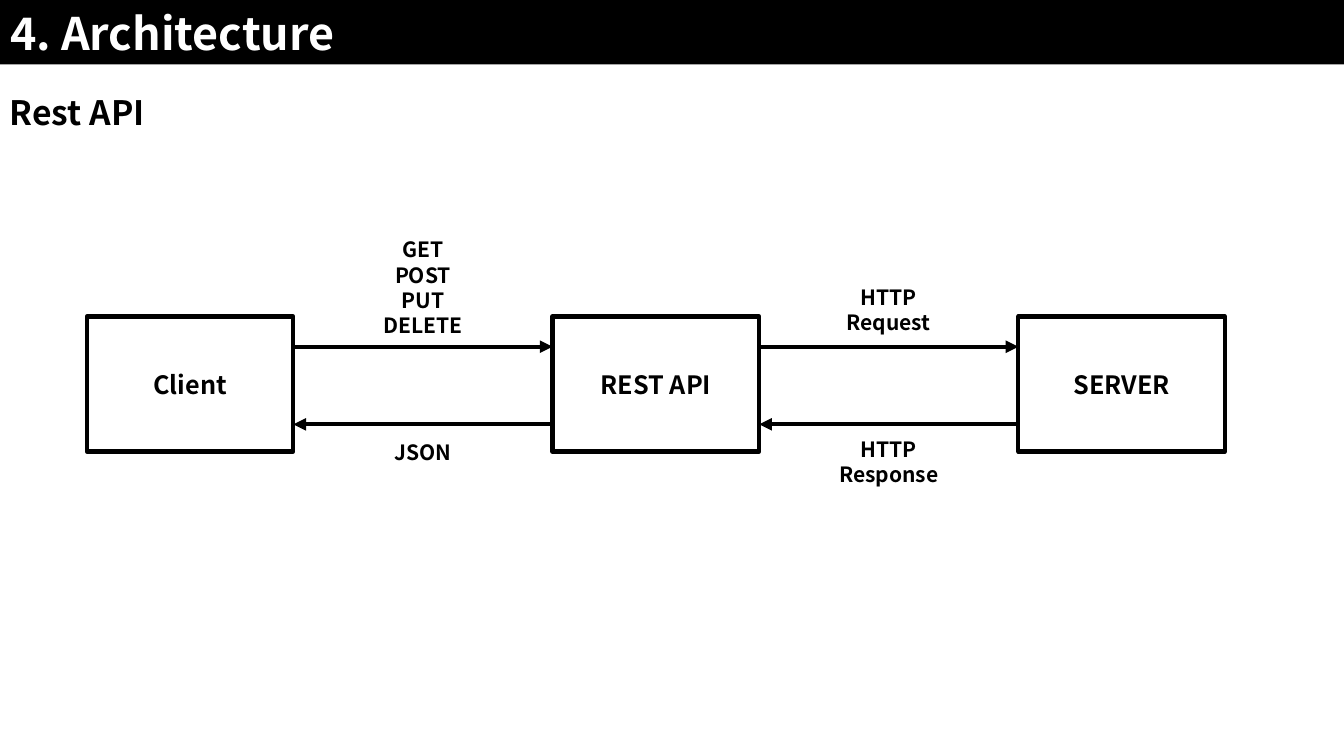
from dataclasses import dataclass

from lxml.etree import SubElement
from pptx import Presentation
from pptx.dml.color import RGBColor
from pptx.enum.shapes import MSO_CONNECTOR, MSO_SHAPE
from pptx.enum.text import MSO_ANCHOR, MSO_AUTO_SIZE, PP_ALIGN
from pptx.oxml.ns import qn
from pptx.slide import Slide
from pptx.text.text import TextFrame
from pptx.util import Inches, Pt

BLACK = RGBColor(0x00, 0x00, 0x00)
WHITE = RGBColor(0xFF, 0xFF, 0xFF)
FONT = "Noto Sans CJK KR"
LINE_WIDTH = Pt(3)

NODE_LEFT, NODE_TOP = 0.86, 3.14
NODE_WIDTH, NODE_HEIGHT = 2.05, 1.34
NODE_STEP = 4.62
REQUEST_Y, RESPONSE_Y = 3.44, 4.21
REQUEST_LABEL_BOTTOM, RESPONSE_LABEL_TOP = 3.34, 4.31


@dataclass(frozen=True)
class Exchange:
    """Messages passed between one node and the next."""
    request: str
    request_height: float
    response: str
    response_height: float
    label_width: float


NODES = ["Client", "REST API", "SERVER"]
EXCHANGES = [
    Exchange("GET POST PUT DELETE", 0.98, "JSON", 0.36, 1.11),
    Exchange("HTTP Request", 0.54, "HTTP Response", 0.54, 1.36),
]


def write(frame: TextFrame, text: str, size: int, color: RGBColor = BLACK,
          align: PP_ALIGN = PP_ALIGN.CENTER) -> None:
    frame.word_wrap = True
    frame.auto_size = MSO_AUTO_SIZE.NONE
    frame.vertical_anchor = MSO_ANCHOR.MIDDLE
    paragraph = frame.paragraphs[0]
    paragraph.alignment = align
    run = paragraph.add_run()
    run.text = text
    run.font.name = FONT
    run.font.size = Pt(size)
    run.font.bold = True
    run.font.color.rgb = color


def add_title(slide: Slide, text: str) -> None:
    title = slide.shapes.title
    title.left, title.top = Inches(0), Inches(0)
    title.width, title.height = Inches(13.33), Inches(0.64)
    title.fill.solid()
    title.fill.fore_color.rgb = BLACK
    write(title.text_frame, text, 32, WHITE, PP_ALIGN.LEFT)


def add_label(slide: Slide, text: str, left: float, top: float, width: float,
              height: float, size: int = 15,
              align: PP_ALIGN = PP_ALIGN.CENTER) -> None:
    label = slide.shapes.add_textbox(
        Inches(left), Inches(top), Inches(width), Inches(height))
    write(label.text_frame, text, size, align=align)


def add_node(slide: Slide, name: str, left: float) -> None:
    node = slide.shapes.add_shape(
        MSO_SHAPE.RECTANGLE, Inches(left), Inches(NODE_TOP),
        Inches(NODE_WIDTH), Inches(NODE_HEIGHT))
    node.shadow.inherit = False
    node.fill.solid()
    node.fill.fore_color.rgb = WHITE
    node.line.color.rgb = BLACK
    node.line.width = LINE_WIDTH
    write(node.text_frame, name, 18)


def add_arrow(slide: Slide, start: float, end: float, y: float) -> None:
    arrow = slide.shapes.add_connector(
        MSO_CONNECTOR.STRAIGHT, Inches(start), Inches(y), Inches(end), Inches(y))
    arrow.line.color.rgb = BLACK
    arrow.line.width = LINE_WIDTH
    SubElement(arrow.line._get_or_add_ln(), qn("a:tailEnd"), type="triangle")
    SubElement(arrow._element.spPr, qn("a:effectLst"))


def add_exchange(slide: Slide, exchange: Exchange, start: float, end: float) -> None:
    add_arrow(slide, start, end, REQUEST_Y)
    add_arrow(slide, end, start, RESPONSE_Y)
    label_left = (start + end - exchange.label_width) / 2
    add_label(slide, exchange.request, label_left,
              REQUEST_LABEL_BOTTOM - exchange.request_height,
              exchange.label_width, exchange.request_height)
    add_label(slide, exchange.response, label_left, RESPONSE_LABEL_TOP,
              exchange.label_width, exchange.response_height)


def main() -> None:
    presentation = Presentation()
    presentation.slide_width = Inches(13.33)
    presentation.slide_height = Inches(7.5)
    slide = presentation.slides.add_slide(presentation.slide_layouts[5])

    add_title(slide, "4. Architecture")
    add_label(slide, "Rest API", 0, 0.86, 4.68, 0.5, 24, PP_ALIGN.LEFT)

    node_lefts = [NODE_LEFT + NODE_STEP * i for i in range(len(NODES))]
    for name, left in zip(NODES, node_lefts):
        add_node(slide, name, left)
    for exchange, left, next_left in zip(EXCHANGES, node_lefts, node_lefts[1:]):
        add_exchange(slide, exchange, left + NODE_WIDTH, next_left)

    presentation.save("out.pptx")


if __name__ == "__main__":
    main()
